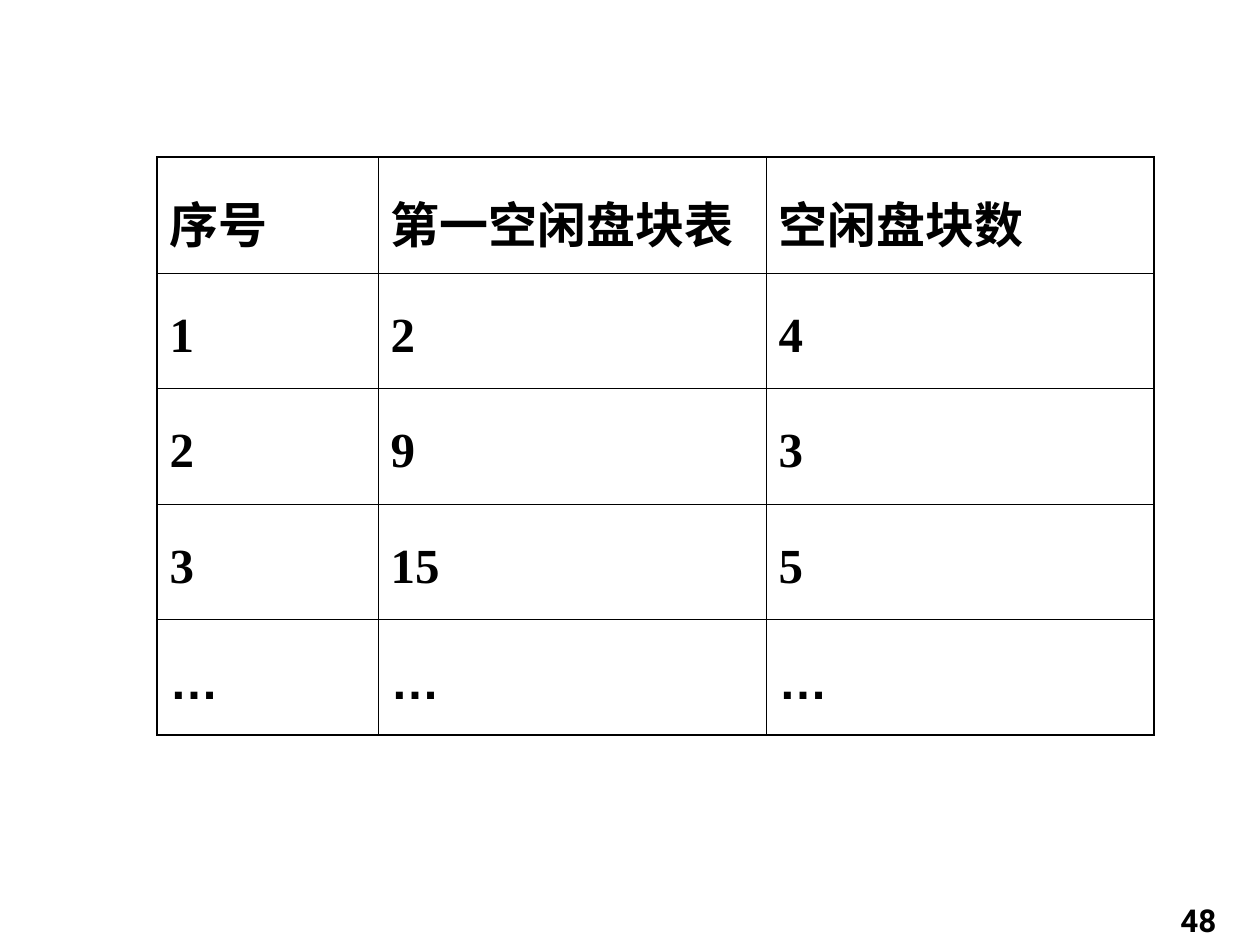
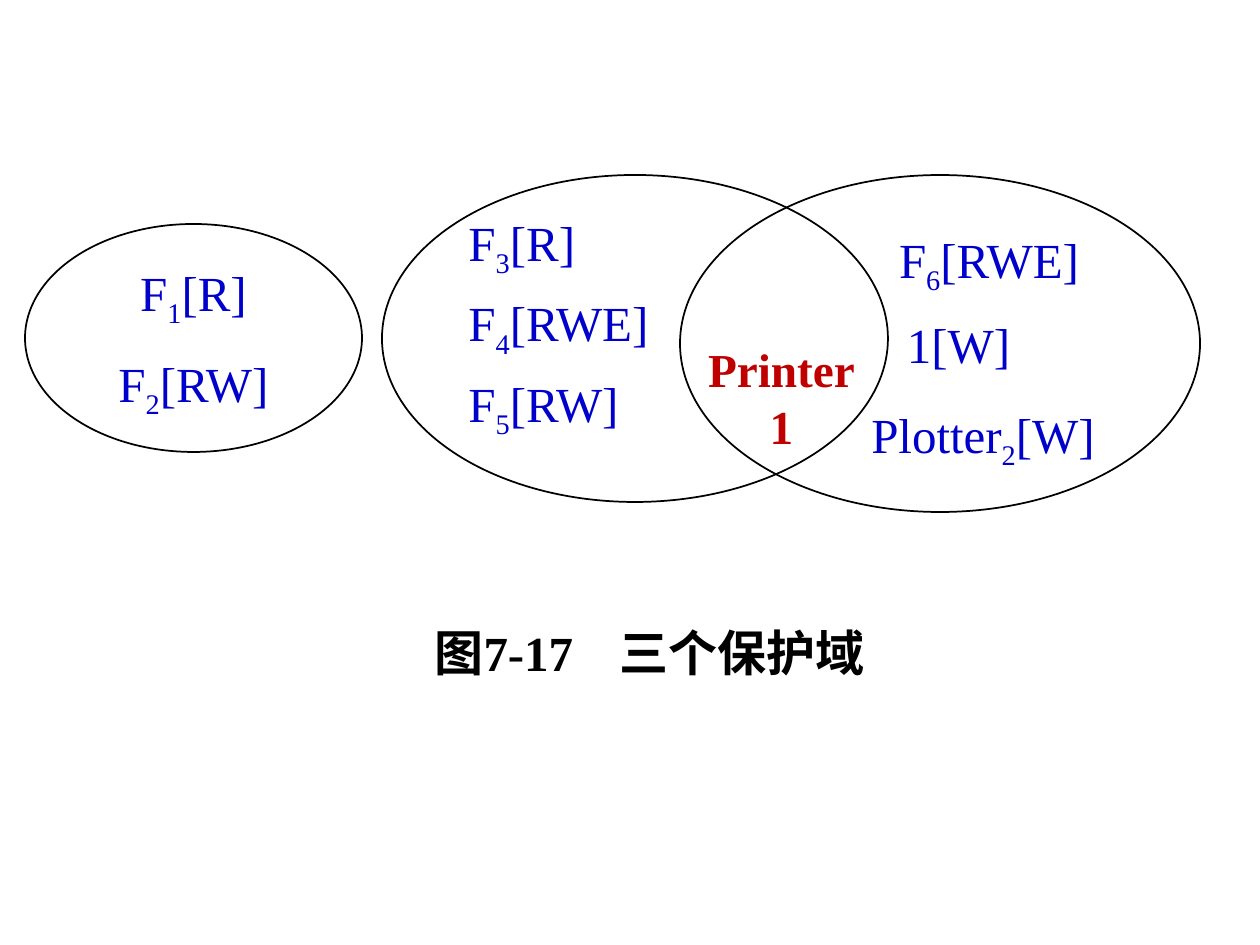
import pptx
import pptx.util
import pptx.dml.color
import pptx.enum.shapes
import pptx.enum.text
import pptx.oxml.ns
from lxml import etree

EMU_PER_PX = 914400 / 126
COLORS = {"ink": "000000", "entry": "0000CC", "shared": "C00000"}
SERIF = "Times New Roman"
HEAVY, THIN = 1.08, 0.45
ALIGN = pptx.enum.text.PP_ALIGN
ANCHOR = pptx.enum.text.MSO_ANCHOR
qn = pptx.oxml.ns.qn


def px(n):
    return pptx.util.Emu(round(n * EMU_PER_PX))


def write(tf, lines, color="ink", size=28, name=SERIF, bold=False, **para):
    """Write one paragraph per line; the second part of a line is a subscript."""
    for i, parts in enumerate(lines):
        p = tf.paragraphs[0] if i == 0 else tf.add_paragraph()
        for key, value in para.items():
            setattr(p, key, value)
        for j, text in enumerate(parts):
            r = p.add_run()
            r.text = text
            font = {"size": pptx.util.Pt(size), "name": name, "bold": bold}
            for key, value in font.items():
                setattr(r.font, key, value)
            r.font.color.rgb = pptx.dml.color.RGBColor.from_string(COLORS[color])
            if j == 1:
                r.font._element.set("baseline", "-25000")


prs = pptx.Presentation()
prs.slide_width, prs.slide_height = px(1260), px(945)
title_only, blank = prs.slide_layouts[5], prs.slide_layouts[6]

# Slide 1: table of free disk blocks
s = prs.slides.add_slide(blank)
rows = [
    ("序号", "第一空闲盘块表", "空闲盘块数"),
    ("1", "2", "4"),
    ("2", "9", "3"),
    ("3", "15", "5"),
    ("…", "…", "…"),
]
widths = [221, 388, 388]
heights = [116, 115, 116, 115, 116]
last_row, last_col = len(rows) - 1, len(widths) - 1
table = s.shapes.add_table(len(rows), len(widths), px(157), px(157),
                           px(sum(widths)), px(sum(heights))).table
table.first_row = table.horz_banding = False
for column, width in zip(table.columns, widths):
    column.width = px(width)
for row, height in zip(table.rows, heights):
    row.height = px(height)
for i, texts in enumerate(rows):
    for j, text in enumerate(texts):
        cell = table.cell(i, j)
        cell.vertical_anchor = ANCHOR.MIDDLE
        cell.fill.background()
        write(cell.text_frame, [(text,)], bold=True, line_spacing=1.2,
              name="Arial" if text == "…" else SERIF)
        outer = {"lnL": j == 0, "lnR": j == last_col,
                 "lnT": i == 0, "lnB": i == last_row}
        tc_pr = cell._tc.get_or_add_tcPr()
        for k, (side, is_outer) in enumerate(outer.items()):
            ln = etree.Element(qn("a:" + side))
            ln.set("w", str(pptx.util.Pt(HEAVY if is_outer else THIN)))
            fill = etree.SubElement(ln, qn("a:solidFill"))
            etree.SubElement(fill, qn("a:srgbClr")).set("val", COLORS["ink"])
            tc_pr.insert(k, ln)

sp = s.shapes.add_textbox(px(1103), px(882), px(126), px(63))
tf = sp.text_frame
tf.word_wrap = True
tf.vertical_anchor = ANCHOR.BOTTOM
write(tf, [("48",)], size=18, name="Roboto", bold=True, alignment=ALIGN.RIGHT)

# Slide 2: three protection domains
s = prs.slides.add_slide(title_only)
sp = s.shapes.title
frame = {"left": px(422), "top": px(611), "width": px(600), "height": px(71)}
for key, value in frame.items():
    setattr(sp, key, value)
tf = sp.text_frame
layout = {"margin_top": 0, "margin_bottom": 0, "vertical_anchor": ANCHOR.TOP,
          "auto_size": pptx.enum.text.MSO_AUTO_SIZE.NONE}
for key, value in layout.items():
    setattr(tf, key, value)
write(tf, [("图7-17\t三个保护域",)], bold=True, alignment=ALIGN.LEFT, line_spacing=1.2)
tabs = etree.SubElement(tf.paragraphs[0]._p.get_or_add_pPr(), qn("a:tabLst"))
tab = etree.SubElement(tabs, qn("a:tab"))
tab.set("pos", str(px(185)))
tab.set("algn", "l")

# box, alignment, line spacing, left indent of each line, lines
domains = [
    ((25, 224, 337, 228), ALIGN.CENTER, 0.9, (0, 0),
     [("F", "1", "[R]"), ("F", "2", "[RW]")]),
    ((382, 175, 506, 327), ALIGN.LEFT, pptx.util.Pt(28.6), (0, 0, 0),
     [("F", "3", "[R]"), ("F", "4", "[RWE]"), ("F", "5", "[RW]")]),
    ((680, 175, 520, 337), ALIGN.CENTER, 0.9, (98, 37, 86),
     [("F", "6", "[RWE]"), ("1[W]",), ("Plotter", "2", "[W]")]),
]
for box, alignment, spacing, indents, lines in domains:
    sp = s.shapes.add_shape(pptx.enum.shapes.MSO_SHAPE.OVAL, *map(px, box))
    sp.shadow.inherit = False
    sp.fill.background()
    sp.line.color.rgb = pptx.dml.color.RGBColor.from_string(COLORS["ink"])
    sp.line.width = pptx.util.Pt(1)
    tf = sp.text_frame
    tf.vertical_anchor = ANCHOR.TOP
    write(tf, lines, color="entry", alignment=alignment, line_spacing=spacing,
          space_before=pptx.util.Pt(17.5))
    for p, indent in zip(tf.paragraphs, indents):
        p._p.get_or_add_pPr().set("marL", str(px(indent)))

sp = s.shapes.add_textbox(px(684), px(334), px(195), px(69))
tf = sp.text_frame
tf.word_wrap = False
tf.auto_size = pptx.enum.text.MSO_AUTO_SIZE.SHAPE_TO_FIT_TEXT
write(tf, [("Printer1",)], color="shared", size=27, bold=True,
      alignment=ALIGN.CENTER, space_before=pptx.util.Pt(16.9))

prs.save("out.pptx")
